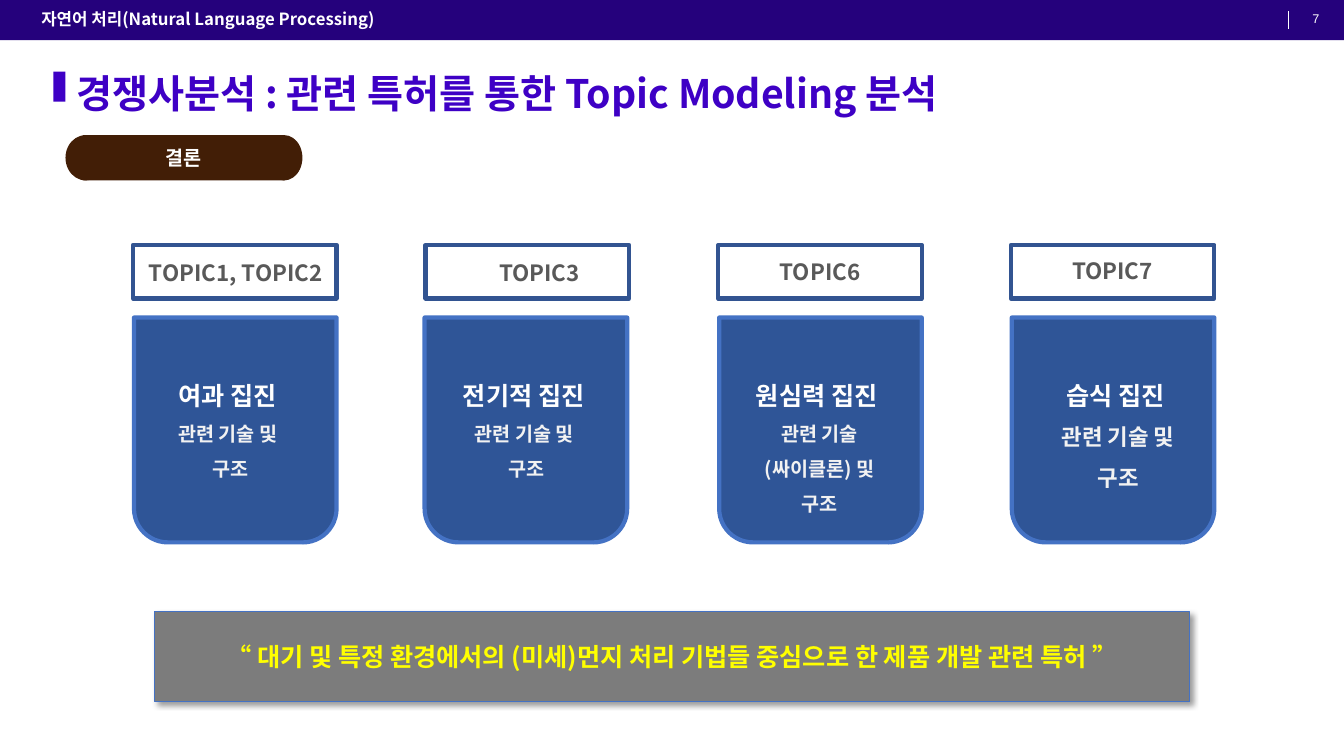
from dataclasses import dataclass

from lxml import etree
from pptx import Presentation
from pptx.dml.color import RGBColor
from pptx.enum.shapes import MSO_CONNECTOR, MSO_SHAPE
from pptx.enum.text import MSO_ANCHOR, MSO_AUTO_SIZE, PP_ALIGN
from pptx.oxml.ns import qn
from pptx.util import Pt

RECT = MSO_SHAPE.RECTANGLE
OVAL = MSO_SHAPE.OVAL
CUP = MSO_SHAPE.ROUND_2_SAME_RECTANGLE
LINE = MSO_CONNECTOR.STRAIGHT
MID, TOP = MSO_ANCHOR.MIDDLE, MSO_ANCHOR.TOP
LEFT, CENTER = PP_ALIGN.LEFT, PP_ALIGN.CENTER
FIXED = MSO_AUTO_SIZE.NONE


@dataclass(frozen=True)
class Theme:
    """Colours, fonts and type sizes of the slide."""
    font: str = "Noto Sans CJK KR"
    plain: str = "Arial"
    band: str = "25017C"
    accent: str = "3E00C5"
    brown: str = "421E06"
    frame: str = "325491"
    panel: str = "2F5597"
    edge: str = "4472C4"
    gray: str = "7C7C7C"
    label: str = "595959"
    white: str = "FFFFFF"
    pale: str = "F2F2F2"
    yellow: str = "FFFF00"
    black: str = "000000"
    page: int = 9
    head: int = 12
    small: int = 14
    mid: int = 16
    large: int = 18
    title: int = 28


THEME = Theme()

TOPICS = [
    ("TOPIC1, TOPIC2", 0.7, 0, 0.7, -3.2,
     ["여과 집진 ", "관련 기술 및 ", "구조"], THEME.small),
    ("TOPIC3", 8.6, 0, -0.7, -0.6,
     ["전기적 집진 ", "관련 기술 및 ", "구조"], THEME.small),
    ("TOPIC6", 0, -0.7, 0.7, -0.3,
     ["원심력 집진 ", "관련 기술(싸이클론) 및 구조"], THEME.small),
    ("TOPIC7", 0, -1.4, 0.7, 4,
     ["습식 집진 ", "관련 기술 및 구조"], THEME.mid),
]


def place(box):
    """Turn a box in points into lengths."""
    return [Pt(n) for n in box]


def draw(shapes, kind, box, fill=None, line=None, width=3):
    """Add a flat preset shape."""
    shape = shapes.add_shape(kind, *place(box))
    shape.shadow.inherit = False
    if fill:
        shape.fill.solid()
        shape.fill.fore_color.rgb = RGBColor.from_string(fill)
    else:
        shape.fill.background()
    if line:
        shape.line.color.rgb = RGBColor.from_string(line)
        shape.line.width = Pt(width)
    else:
        shape.line.fill.background()
    return shape


def style(para, size, color, font=THEME.font, bold=True):
    """Format the runs of a paragraph."""
    for run in para.runs:
        run.font.size = Pt(size)
        run.font.bold = bold
        run.font.name = font
        run.font.color.rgb = RGBColor.from_string(color)
        latin = run.font._element.find(qn("a:latin"))
        east = etree.Element(qn("a:ea"), typeface=font)
        latin.addnext(east)


def write(frame, lines, size, color, align=CENTER, anchor=TOP, gap=None, **look):
    """Fill a text frame with styled lines."""
    frame.word_wrap = True
    frame.auto_size = FIXED
    frame.vertical_anchor = anchor
    frame.text = "\n".join(lines)
    for para in frame.paragraphs:
        para.alignment = align
        if gap:
            para.line_spacing = gap
        style(para, size, color, **look)


def note(shapes, box, lines, size, color, **look):
    """Add a text box and return its frame."""
    frame = shapes.add_textbox(*place(box)).text_frame
    write(frame, lines, size, color, **look)
    return frame


def header(slide, box):
    """Draw the top band with the slide title and page number."""
    x, y, w, h = box
    shapes = slide.shapes
    draw(shapes, RECT, box, THEME.band)
    rule = shapes.add_connector(LINE, *place((x + w - 40, y + 8, x + w - 40, y + 21)))
    rule.line.color.rgb = RGBColor.from_string(THEME.white)
    rule.line.width = Pt(0.5)
    etree.SubElement(rule.line._get_or_add_ln().getparent(), qn("a:effectLst"))
    title = shapes.title
    title.left, title.top, title.width, title.height = place((x + 22.3, y, 783.4, h))
    write(title.text_frame, ["자연어 처리(Natural Language Processing)"],
          THEME.head, THEME.white, align=LEFT, anchor=MID, gap=0.9)
    title.element.getparent().append(title.element)
    note(shapes, (x + w - 40, y - 1.4, 40, 29.5), ["7"], THEME.page, THEME.white,
         anchor=MID, font=THEME.plain, bold=False)


def heading(slide, box):
    """Draw the marker and the main heading."""
    x, y, w, h = box
    draw(slide.shapes, RECT, (x, y + 1.4, 8.6, 21.6), THEME.accent)
    frame = note(slide.shapes, (x + 9.3, y, w - 9.3, h),
                 ["경쟁사분석 : 관련 특허를 통한 Topic Modeling 분석"],
                 THEME.title, THEME.accent, align=LEFT, gap=0.9)
    frame.paragraphs[0].space_before = Pt(10)


def pill(slide, box):
    """Draw the rounded section tag."""
    x, y, w, h = box
    group = slide.shapes.add_group_shape().shapes
    draw(group, RECT, (x + 12.2, y, w - 24.8, h), THEME.brown)
    draw(group, OVAL, (x, y, 28.8, h), THEME.brown)
    draw(group, OVAL, (x + w - 26, y, 26, h), THEME.brown)
    note(slide.shapes, (x - 16.6, y + 4.3, 202.3, 24.5), ["결론"],
         THEME.small, THEME.white)


def topic(slide, box, item):
    """Draw one framed label above its rounded panel."""
    x, y, w, h = box
    name, shift, drop, nudge, lean, lines, size = item
    shapes = slide.shapes
    draw(shapes, RECT, (x, y, w, 38.2), line=THEME.frame)
    note(shapes, (x + shift, y + 6.5 + drop, w, 26.6), [name], THEME.mid, THEME.label)
    cup = draw(shapes, CUP, (x + nudge, y + 51.8, w - 0.7, h - 51.8),
               THEME.panel, THEME.edge)
    cup.rotation = 180
    frame = note(shapes, (x + w / 2 - 60.1 + lean, y + 82, 120.2, 88), lines,
                 size, THEME.pale, gap=1.5)
    lead = frame.paragraphs[0].runs[0].font
    lead.size = Pt(THEME.large)
    lead.color.rgb = RGBColor.from_string(THEME.white)


def banner(slide, box):
    """Draw the shadowed closing statement."""
    shape = draw(slide.shapes, RECT, box, THEME.gray, THEME.edge, 0.5)
    glow = shape.element.spPr.find(qn("a:effectLst"))
    shade = etree.SubElement(glow, qn("a:outerShdw"), blurRad=str(Pt(4)),
                             dist=str(Pt(3)), dir="2700000", algn="tl", rotWithShape="0")
    color = etree.SubElement(shade, qn("a:srgbClr"), val=THEME.black)
    etree.SubElement(color, qn("a:alpha"), val="40000")
    frame = shape.text_frame
    frame.margin_left = frame.margin_right = frame.margin_top = frame.margin_bottom = 0
    write(frame, ["“ 대기 및 특정 환경에서의 (미세)먼지 처리 기법들 중심으로 한 제품 개발 관련 특허 ”"],
          THEME.large, THEME.yellow, anchor=MID)


def main():
    """Build and save the slide."""
    deck = Presentation()
    deck.slide_width, deck.slide_height = Pt(960), Pt(540)
    slide = deck.slides.add_slide(deck.slide_layouts[5])
    header(slide, (0, 0, 960, 28.8))
    heading(slide, (38.2, 49.7, 763, 38.2))
    pill(slide, (46.8, 96.5, 169.2, 32.4))
    for col, item in enumerate(TOPICS):
        topic(slide, (95 + 209 * col, 175, 145.4, 212.4), item)
    banner(slide, (110.2, 437, 739.4, 64.1))
    deck.save("out.pptx")


if __name__ == "__main__":
    main()
